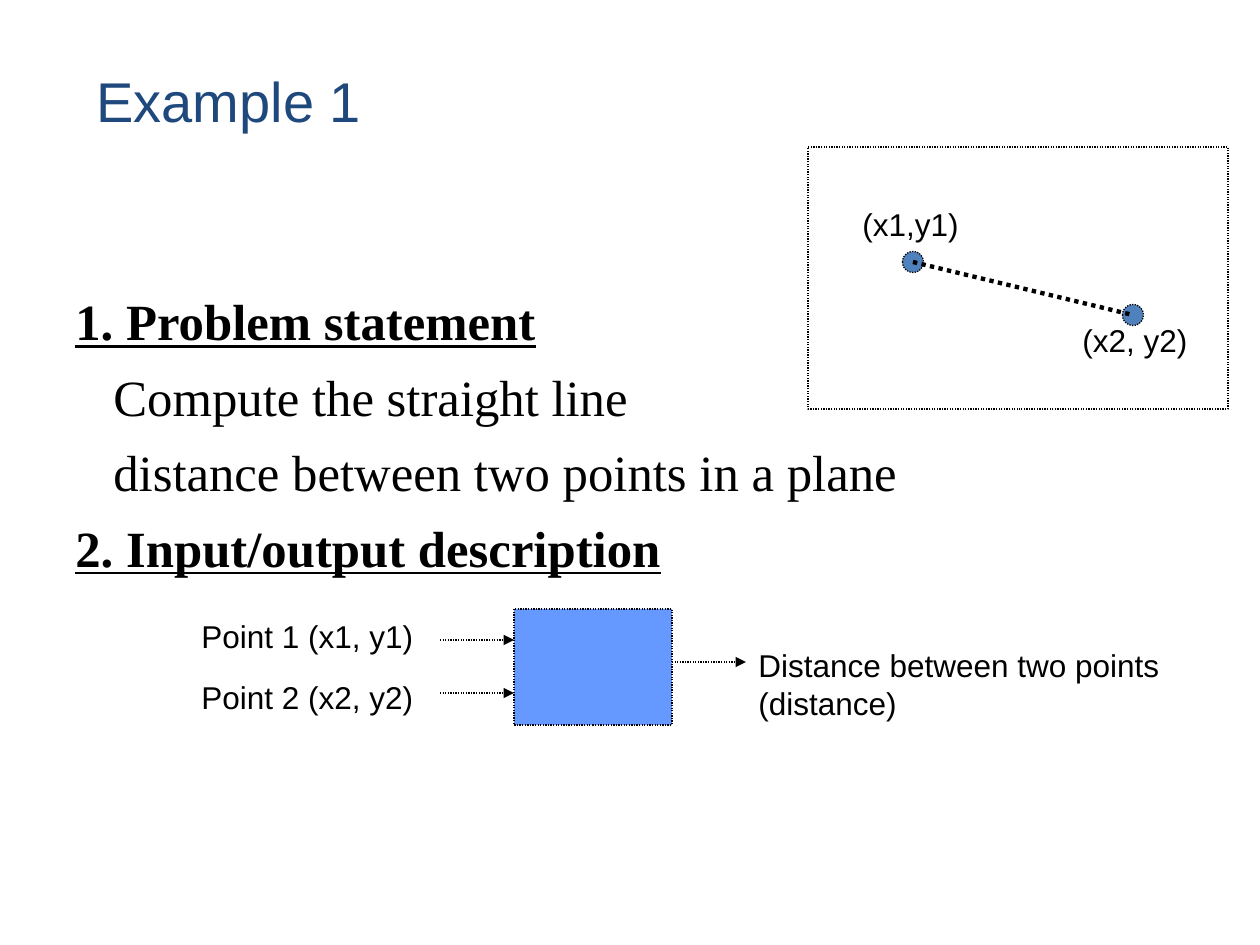
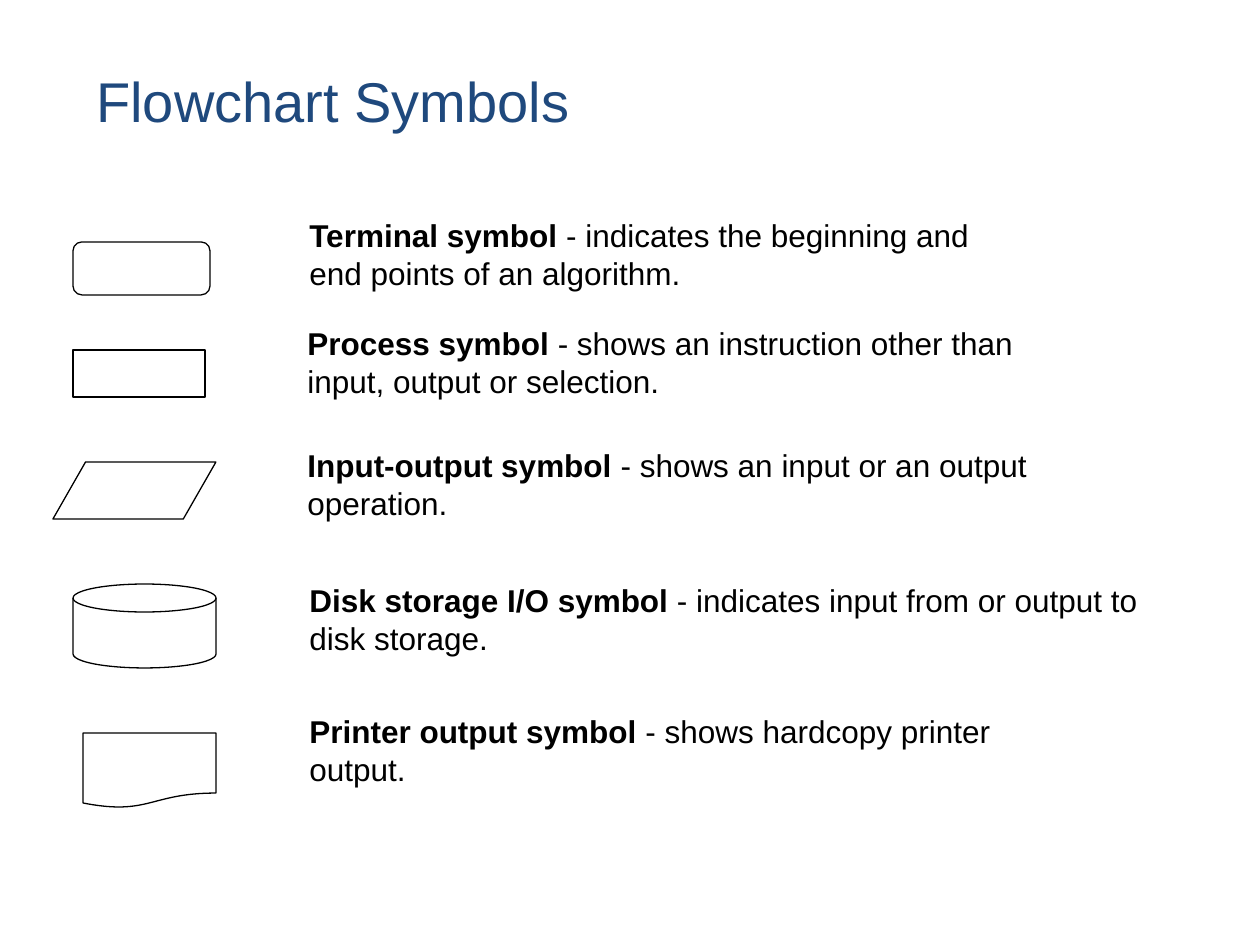
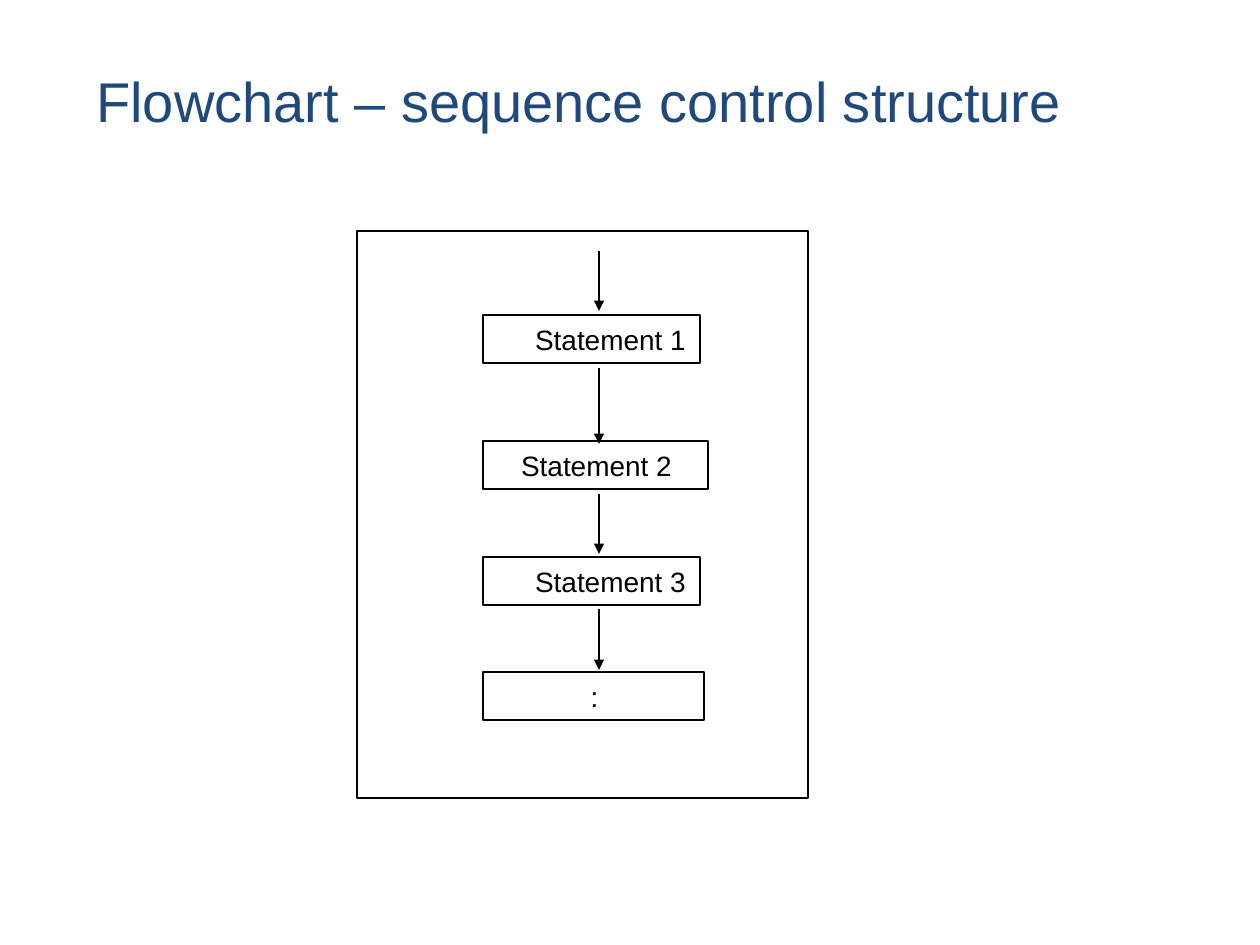
from pptx import Presentation
from pptx import util as u
from pptx.dml.color import RGBColor
from pptx.enum import dml, shapes, text
from pptx.oxml.ns import qn
from lxml import etree

SCALE = 914400 / 126
COLORS = {"title": "1F497D", "ink": "000000", "paper": "FFFFFF",
          "process": "6699FF", "point": "4F81BD"}
KIND = shapes.MSO_SHAPE
DOTTED = dml.MSO_LINE.ROUND_DOT
TITLE = {"name": "Arial", "size": u.Pt(32)}
LABEL = {"name": "Arial", "size": u.Pt(18)}
STATEMENT = {"name": "Arial", "size": u.Pt(16)}
BODY = {"name": "Times New Roman", "size": u.Pt(29)}
HEADING = {**BODY, "bold": True, "underline": True}


def px(length):
    return u.Emu(round(length * SCALE))


def rgb(name):
    return RGBColor.from_string(COLORS[name])


def apply(target, values):
    for key, value in values.items():
        setattr(target, key, value)


def add_run(paragraph, words, font, color="ink"):
    run = paragraph.add_run()
    run.text = words
    apply(run.font, font)
    run.font.color.rgb = rgb(color)


def add_text(slide, box, lines, color="ink", **frame_format):
    frame = slide.shapes.add_textbox(*map(px, box)).text_frame
    apply(frame, {"word_wrap": True, **frame_format})
    for index, runs in enumerate(lines):
        paragraph = frame.paragraphs[0] if index == 0 else frame.add_paragraph()
        for words, font in runs:
            add_run(paragraph, words, font, color)
    return frame


def style_line(line, width=0.75, dash=None):
    line.color.rgb = rgb("ink")
    line.width = u.Pt(width)
    if dash:
        line.dash_style = dash


def add_outline(slide, kind, box, fill=None, dash=None):
    outline = slide.shapes.add_shape(kind, *map(px, box))
    outline.shadow.inherit = False
    if fill:
        outline.fill.solid()
        outline.fill.fore_color.rgb = rgb(fill)
    else:
        outline.fill.background()
    style_line(outline.line, dash=dash)
    return outline


def add_line(slide, start, end, width=0.75, dash=None, arrow=True):
    line = slide.shapes.add_connector(shapes.MSO_CONNECTOR.STRAIGHT,
                                      *map(px, (*start, *end)))
    style_line(line.line, width, dash)
    properties = line._element.spPr
    if arrow:
        etree.SubElement(properties.find(qn("a:ln")), qn("a:tailEnd"), type="triangle")
    etree.SubElement(properties, qn("a:effectLst"))


def add_titled_slide(deck, title):
    slide = deck.slides.add_slide(deck.slide_layouts[6])
    add_text(slide, (84, 32, 1124, 136), [[(title, TITLE)]], "title",
             vertical_anchor=text.MSO_ANCHOR.MIDDLE)
    return slide


def problem_outline(slide, box):
    lines = [("1. Problem statement", HEADING),
             ("Compute the straight line", BODY),
             ("distance between two points in a plane", BODY),
             ("2. Input/output description", HEADING)]
    frame = add_text(slide, box, [[line] for line in lines], margin_top=px(12))
    for paragraph, (words, font) in zip(frame.paragraphs, lines):
        if font is BODY:
            paragraph._p.get_or_add_pPr().set("marL", str(px(38)))
    for paragraph in frame.paragraphs[1:]:
        paragraph.space_before = u.Pt(8.4)


def input_output_diagram(slide, box):
    x, y, width, height = box
    process_x, process_width, arrow_length = x + 325, 158, 74
    add_outline(slide, KIND.RECTANGLE, (process_x, y, process_width, height),
                "process", DOTTED)
    inputs = [("Point 1 (x1, y1)", 2, 31), ("Point 2 (x2, y2)", 63, 84)]
    for words, label_y, arrow_y in inputs:
        add_line(slide, (process_x - arrow_length, y + arrow_y),
                 (process_x, y + arrow_y), dash=DOTTED)
        add_text(slide, (x, y + label_y, 305, 50), [[(words, LABEL)]])
    output_x = process_x + process_width
    output_end = output_x + arrow_length
    add_line(slide, (output_x, y + 53), (output_end, y + 53), dash=DOTTED)
    add_text(slide, (output_end, y + 31, x + width - output_end, 88),
             [[("Distance between two points (distance)", LABEL)]])


def point_plot(slide, box):
    x, y, width, height = box
    add_outline(slide, KIND.RECTANGLE, box, "paper", DOTTED)
    points = [("(x1,y1)", (42, 52), (105, 115)),
              ("(x2, y2)", (262, 168), (325, 168))]
    diameter = 21
    centers = []
    for words, (label_x, label_y), (center_x, center_y) in points:
        add_text(slide, (x + label_x, y + label_y, 137, 50), [[(words, LABEL)]])
        center = x + center_x, y + center_y
        add_outline(slide, KIND.OVAL, (center[0] - diameter / 2, center[1] - diameter / 2,
                                       diameter, diameter), "point", DOTTED)
        centers.append(center)
    add_line(slide, *centers, width=2.5, dash=DOTTED, arrow=False)


def symbol_legend(slide, box):
    x, y, width, height = box
    symbols = [
        (KIND.FLOWCHART_ALTERNATE_PROCESS, (20, 32, 137, 53), (244, 0), "Terminal symbol",
         [" - indicates the beginning and", "end points of an algorithm."]),
        (KIND.FLOWCHART_PROCESS, (20, 140, 132, 47), (242, 108), "Process symbol",
         [" - shows an instruction other than", "input, output or selection."]),
        (KIND.FLOWCHART_DATA, (0, 252, 163, 57), (242, 230), "Input-output symbol",
         [" - shows an input or an output", "operation."]),
        (KIND.FLOWCHART_MAGNETIC_DISK, (20, 374, 143, 84), (244, 365),
         "Disk storage I/O symbol",
         [" - indicates input from or output to disk storage."]),
        (KIND.FLOWCHART_DOCUMENT, (30, 523, 133, 75), (244, 496), "Printer output symbol",
         [" - shows hardcopy printer", "output."]),
    ]
    for kind, (left, top, wide, high), (text_x, text_y), term, meaning in symbols:
        add_outline(slide, kind, (x + left, y + top, wide, high))
        lines = [[(words, LABEL)] for words in meaning]
        lines[0].insert(0, (term, {**LABEL, "bold": True}))
        add_text(slide, (x + text_x, y + text_y, width - text_x, 113), lines)


def sequence_flow(slide, box):
    x, y, width, height = box
    add_outline(slide, KIND.RECTANGLE, box)
    steps = [("Statement 1", 84, 217, 48, (20, 80)),
             ("Statement 2", 210, 225, 12, (137, 213)),
             ("Statement 3", 326, 217, 48, (263, 323)),
             (":", 441, 221, 12, (378, 439))]
    for words, top, wide, inset, (start, end) in steps:
        step = add_outline(slide, KIND.RECTANGLE, (x + 126, y + top, wide, 48))
        frame = step.text_frame
        apply(frame, {"word_wrap": True, "margin_left": px(inset), "margin_right": px(10),
                      "vertical_anchor": text.MSO_ANCHOR.MIDDLE})
        frame.paragraphs[0].alignment = text.PP_ALIGN.CENTER
        add_run(frame.paragraphs[0], words, STATEMENT)
        add_line(slide, (x + 242, y + start), (x + 242, y + end))


deck = Presentation()
deck.slide_width, deck.slide_height = px(1260), px(945)

example = add_titled_slide(deck, "Example 1")
problem_outline(example, (63, 278, 1171, 567))
input_output_diagram(example, (189, 609, 1040, 116))
point_plot(example, (808, 147, 420, 262))

symbols_slide = add_titled_slide(deck, "Flowchart Symbols")
symbol_legend(symbols_slide, (53, 210, 1105, 600))

sequence = add_titled_slide(deck, "Flowchart – sequence control structure")
sequence_flow(sequence, (357, 231, 451, 567))

deck.save("out.pptx")
